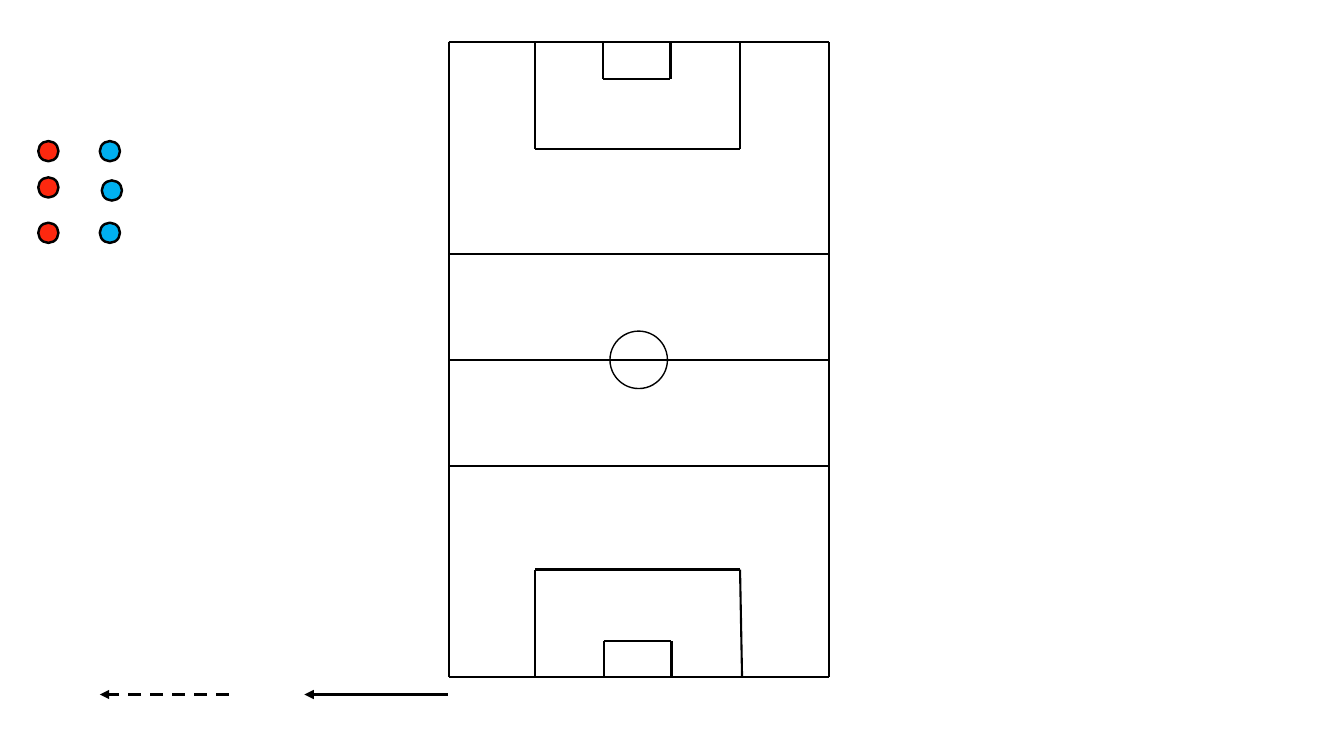
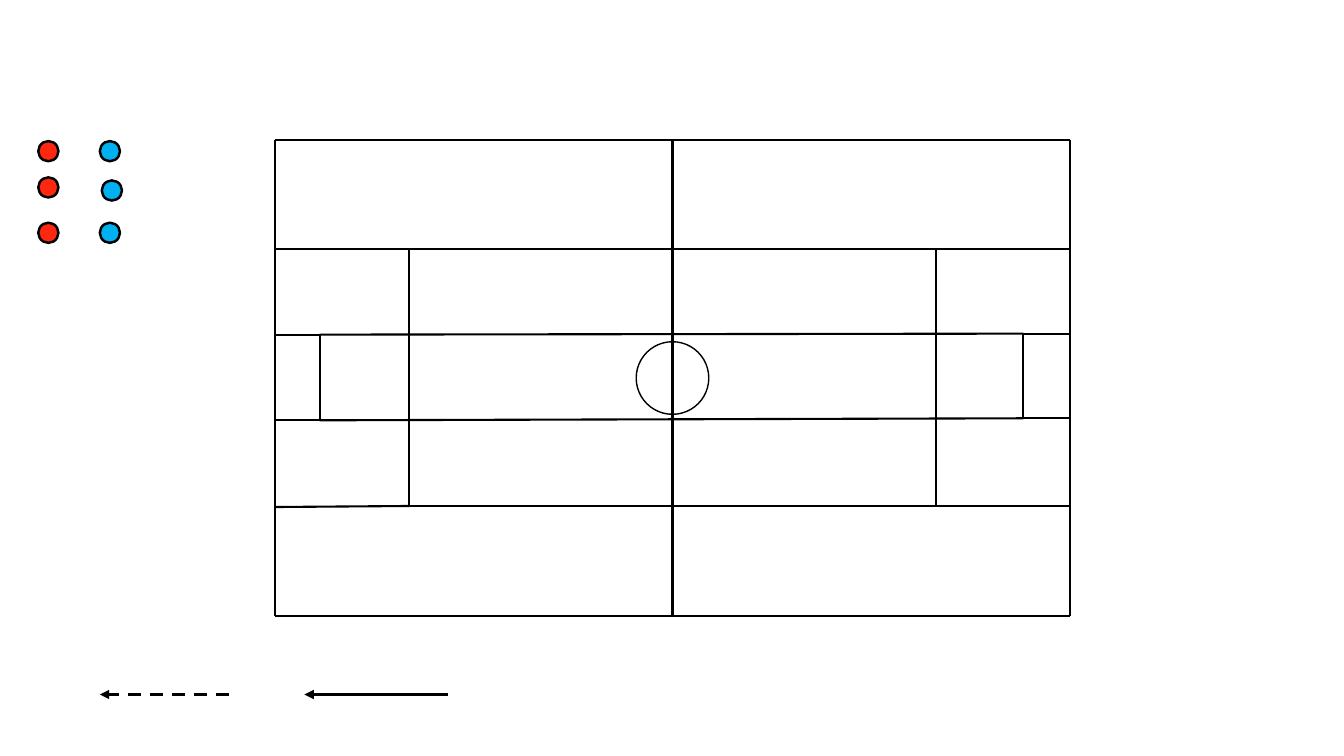
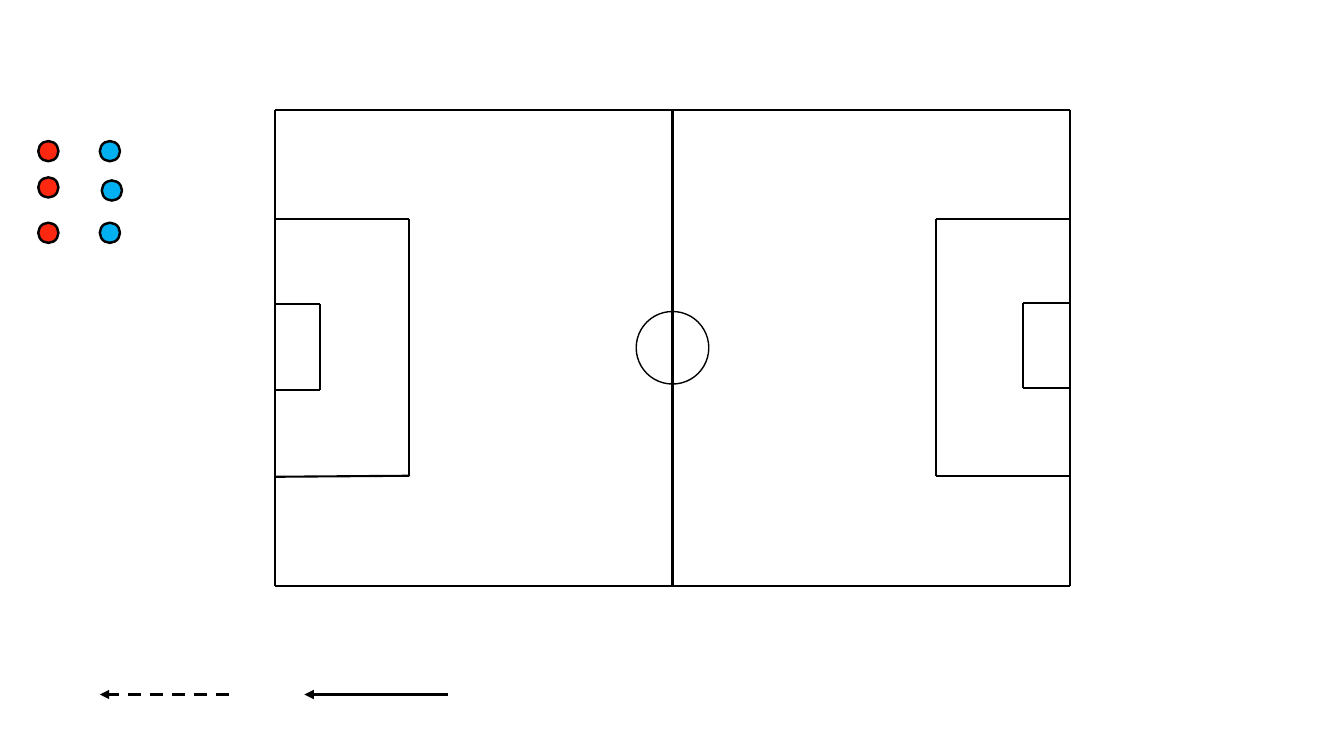
from typing import NamedTuple, Optional

from lxml import etree
from pptx import Presentation
from pptx.dml.color import RGBColor
from pptx.enum.dml import MSO_LINE
from pptx.enum.shapes import MSO_CONNECTOR, MSO_SHAPE
from pptx.oxml.ns import qn
from pptx.shapes.shapetree import GroupShapes, SlideShapes
from pptx.slide import Slide
from pptx.util import Inches, Pt

STRAIGHT = MSO_CONNECTOR.STRAIGHT
OVAL = MSO_SHAPE.OVAL
DASH = MSO_LINE.DASH

COLOURS = {"ink": "000000", "red": "FD280F", "blue": "00B0F0"}

MARKING_PT = 1.5
CIRCLE_PT = 1
PLAYER_PT = 1.75
ARROW_PT = 2.25
PLAYER_SIZE = 0.2


class Segment(NamedTuple):
    x1: float
    y1: float
    x2: float
    y2: float


class Box(NamedTuple):
    """Three-sided area standing on a goal line; skew shifts the foot of its far side."""
    edge: float
    front: float
    near: float
    far: float
    skew: float = 0


class Player(NamedTuple):
    x: float
    y: float
    colour: str


class Arrow(NamedTuple):
    start: float
    end: float
    dashed: bool


# Legend shown on every slide
PLAYERS = [
    Player(0.38, 1.40, "red"), Player(0.99, 1.40, "blue"),
    Player(0.38, 1.76, "red"), Player(1.01, 1.79, "blue"),
    Player(0.38, 2.21, "red"), Player(0.99, 2.21, "blue"),
]
ARROWS = [Arrow(2.27, 0.99, True), Arrow(4.44, 3.02, False)]
ARROW_Y = 6.89

# Upright pitch
UPRIGHT = Segment(4.45, 0.42, 8.22, 6.72)
UPRIGHT_BOXES = [
    Box(0.42, 1.48, 5.31, 7.34), Box(0.42, 0.78, 5.98, 6.65),
    Box(6.72, 5.65, 5.31, 7.34, skew=0.02), Box(6.72, 6.36, 5.99, 6.66),
]
CROSS_LINES = [2.52, 3.57, 4.62]
UPRIGHT_CIRCLE = 0.57

# Wide pitch, with heights counted from its top touchline
WIDE_LEFT, WIDE_RIGHT, WIDE_HEIGHT = 2.73, 10.61, 4.72
WIDE_BOXES = [
    Box(WIDE_LEFT, 4.06, 1.08, 3.63, skew=0.01), Box(WIDE_LEFT, 3.17, 1.93, 2.78),
    Box(WIDE_RIGHT, 9.28, 1.08, 3.63), Box(WIDE_RIGHT, 10.15, 1.92, 2.76),
]
LANE_LINES = [
    Segment(4.06, 1.08, 9.28, 1.08), Segment(3.17, 1.93, 10.15, 1.92),
    Segment(3.17, 2.78, 10.15, 2.76), Segment(4.06, 3.63, 9.28, 3.63),
]
WIDE_CIRCLE = 0.72


def draw_line(shapes: SlideShapes | GroupShapes, segment: Segment, width: float,
              dashed: bool = False, arrow: bool = False) -> None:
    connector = shapes.add_connector(STRAIGHT, *(Inches(v) for v in segment))
    connector.line.color.rgb = RGBColor.from_string(COLOURS["ink"])
    connector.line.width = Pt(width)
    if dashed:
        connector.line.dash_style = DASH
    properties = connector.element.spPr
    if arrow:
        head = etree.SubElement(properties.find(qn("a:ln")), qn("a:tailEnd"))
        head.set("type", "triangle")
    etree.SubElement(properties, qn("a:effectLst"))


def draw_circle(shapes: SlideShapes | GroupShapes, x: float, y: float, size: float,
                width: float, colour: Optional[str] = None) -> None:
    circle = shapes.add_shape(OVAL, Inches(x), Inches(y), Inches(size), Inches(size))
    circle.shadow.inherit = False
    if colour:
        circle.fill.solid()
        circle.fill.fore_color.rgb = RGBColor.from_string(COLOURS[colour])
    else:
        circle.fill.background()
    circle.line.color.rgb = RGBColor.from_string(COLOURS["ink"])
    circle.line.width = Pt(width)


def outline(area: Segment) -> list[Segment]:
    left, top, right, bottom = area
    return [Segment(left, top, right, top), Segment(right, top, right, bottom),
            Segment(left, bottom, right, bottom), Segment(left, top, left, bottom)]


def wide_box(box: Box) -> list[Segment]:
    return [Segment(box.edge, box.near, box.front, box.near),
            Segment(box.front, box.near, box.front, box.far),
            Segment(box.edge, box.far + box.skew, box.front, box.far)]


def upright_box(box: Box) -> list[Segment]:
    return [Segment(s.y1, s.x1, s.y2, s.x2) for s in wide_box(box)]


def draw_pitch(slide: Slide, area: Segment, markings: list[Segment], circle: float) -> None:
    pitch = slide.shapes.add_group_shape().shapes
    for segment in outline(area) + markings:
        draw_line(pitch, segment, MARKING_PT)
    draw_circle(pitch, (area.x1 + area.x2 - circle) / 2,
                (area.y1 + area.y2 - circle) / 2, circle, CIRCLE_PT)


def draw_upright_pitch(slide: Slide) -> None:
    markings = [s for box in UPRIGHT_BOXES for s in upright_box(box)]
    markings += [Segment(UPRIGHT.x1, y, UPRIGHT.x2, y) for y in CROSS_LINES]
    draw_pitch(slide, UPRIGHT, markings, UPRIGHT_CIRCLE)


def draw_wide_pitch(slide: Slide, top: float, lanes: list[Segment]) -> None:
    middle = (WIDE_LEFT + WIDE_RIGHT) / 2
    markings = [s for box in WIDE_BOXES for s in wide_box(box)]
    markings += [Segment(middle, 0, middle, WIDE_HEIGHT), *lanes]
    lowered = [Segment(s.x1, s.y1 + top, s.x2, s.y2 + top) for s in markings]
    area = Segment(WIDE_LEFT, top, WIDE_RIGHT, top + WIDE_HEIGHT)
    draw_pitch(slide, area, lowered, WIDE_CIRCLE)


def draw_legend(slide: Slide) -> None:
    for player in PLAYERS:
        draw_circle(slide.shapes, player.x, player.y, PLAYER_SIZE, PLAYER_PT, player.colour)
    for arrow in ARROWS:
        draw_line(slide.shapes, Segment(arrow.start, ARROW_Y, arrow.end, ARROW_Y),
                  ARROW_PT, arrow.dashed, arrow=True)


def main() -> None:
    deck = Presentation()
    deck.slide_width, deck.slide_height = Inches(13.33), Inches(7.5)
    blank = deck.slide_layouts[6]
    upright, lanes, plain = (deck.slides.add_slide(blank) for _ in range(3))

    # Pitches
    draw_upright_pitch(upright)
    draw_wide_pitch(lanes, 1.39, LANE_LINES)
    draw_wide_pitch(plain, 1.09, [])

    # Players and arrows
    for slide in (upright, lanes, plain):
        draw_legend(slide)

    deck.save("out.pptx")


if __name__ == "__main__":
    main()
